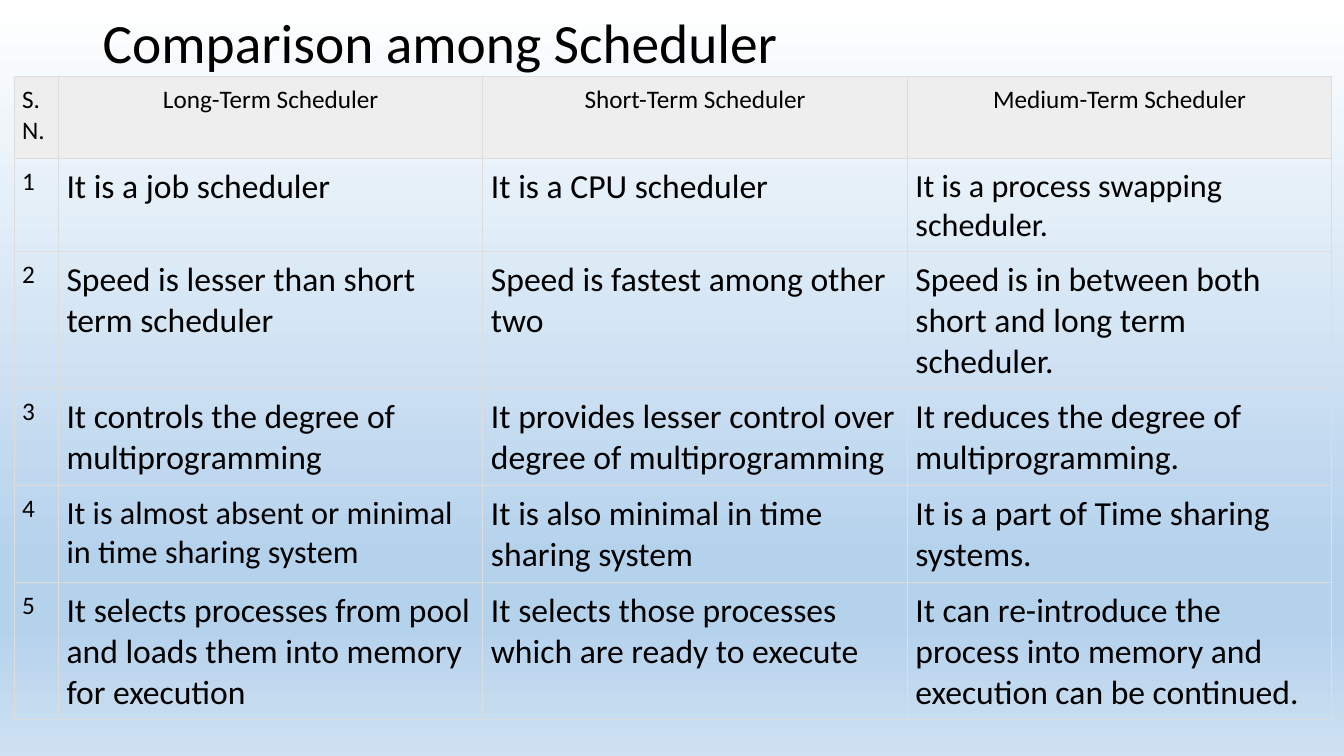
from dataclasses import dataclass

from lxml import etree
from pptx import Presentation
from pptx.dml.color import RGBColor
from pptx.enum.text import MSO_ANCHOR, PP_ALIGN
from pptx.oxml.ns import qn
from pptx.util import Inches, Pt

CENTER, LEFT = PP_ALIGN.CENTER, PP_ALIGN.LEFT
MIDDLE, TOP = MSO_ANCHOR.MIDDLE, MSO_ANCHOR.TOP
FONT = "Calibri"
COLORS = {
    "text": "000000",
    "header": "EEEEEE",
    "border": "DDDDDD",
    "white": "FFFFFF",
    "blue": "B5D2EC",
    "pale": "CEE1F2",
}
GRADIENT_STOPS = [(0, "white"), (74, "blue"), (83, "blue"), (100, "pale")]
COLUMN_WIDTHS = [0.44, 4.21, 4.21, 4.21]
CELL_MARGIN = 0.08
BORDER_WIDTH = 0.75
SMALL, MEDIUM, LARGE = 18, 23, 24


@dataclass
class Entry:
    text: str
    size: float = LARGE
    align: PP_ALIGN = LEFT
    fill: str = ""


@dataclass
class Row:
    height: float
    entries: list[Entry]


def heading(text: str, align: PP_ALIGN = CENTER) -> Entry:
    return Entry(text, SMALL, align, "header")


ROWS = [
    Row(0.81, [
        heading("S.N.", LEFT),
        heading("Long-Term Scheduler"),
        heading("Short-Term Scheduler"),
        heading("Medium-Term Scheduler"),
    ]),
    Row(0.92, [
        Entry("1", SMALL),
        Entry("It is a job scheduler"),
        Entry("It is a CPU scheduler"),
        Entry("It is a process swapping scheduler.", MEDIUM),
    ]),
    Row(1.29, [
        Entry("2", SMALL),
        Entry("Speed is lesser than short term scheduler"),
        Entry("Speed is fastest among other two"),
        Entry("Speed is in between both short and long term scheduler."),
    ]),
    Row(0.92, [
        Entry("3", SMALL),
        Entry("It controls the degree of multiprogramming"),
        Entry("It provides lesser control over degree of multiprogramming"),
        Entry("It reduces the degree of multiprogramming."),
    ]),
    Row(0.92, [
        Entry("4", SMALL),
        Entry("It is almost absent or minimal in time sharing system", MEDIUM),
        Entry("It is also minimal in time sharing system"),
        Entry("It is a part of Time sharing systems."),
    ]),
    Row(1.29, [
        Entry("5", SMALL),
        Entry("It selects processes from pool and loads them into memory for execution"),
        Entry("It selects those processes which are ready to execute"),
        Entry("It can re-introduce the process into memory and execution can be continued."),
    ]),
]


def add_color(parent, name: str) -> None:
    etree.SubElement(parent, qn("a:srgbClr"), val=COLORS[name])


def paint_background(page) -> None:
    page.background.fill.solid()
    solid = page.element.find(".//" + qn("a:solidFill"))
    gradient = etree.Element(qn("a:gradFill"), rotWithShape="1")
    stops = etree.SubElement(gradient, qn("a:gsLst"))
    for percent, color in GRADIENT_STOPS:
        stop = etree.SubElement(stops, qn("a:gs"), pos=str(percent * 1000))
        add_color(stop, color)
    etree.SubElement(gradient, qn("a:lin"), ang=str(90 * 60000), scaled="1")
    solid.getparent().replace(solid, gradient)


def write_text(para, text: str, size: float, align: PP_ALIGN) -> None:
    para.alignment = align
    span = para.add_run()
    span.text = text
    span.font.name = FONT
    span.font.size = Pt(size)
    span.font.color.rgb = RGBColor.from_string(COLORS["text"])


def add_title(page) -> None:
    box = page.shapes.add_textbox(Inches(0.92), Inches(0.14), Inches(11.5), Inches(0.62))
    frame = box.text_frame
    frame.word_wrap = True
    frame.vertical_anchor = MIDDLE
    para = frame.paragraphs[0]
    para.line_spacing = 0.9
    write_text(para, "Comparison among Scheduler", 39.6, LEFT)


def add_borders(cell) -> None:
    properties = cell._tc.get_or_add_tcPr()
    for position, side in enumerate(("lnL", "lnR", "lnT", "lnB")):
        line = etree.Element(qn(f"a:{side}"), w=str(Pt(BORDER_WIDTH)))
        add_color(etree.SubElement(line, qn("a:solidFill")), "border")
        properties.insert(position, line)


def fill_cell(cell, entry: Entry) -> None:
    margin = Inches(CELL_MARGIN)
    cell.margin_left = cell.margin_right = margin
    cell.margin_top = cell.margin_bottom = margin
    cell.vertical_anchor = TOP
    if entry.fill:
        cell.fill.solid()
        cell.fill.fore_color.rgb = RGBColor.from_string(COLORS[entry.fill])
    else:
        cell.fill.background()
    add_borders(cell)
    write_text(cell.text_frame.paragraphs[0], entry.text, entry.size, entry.align)


def add_comparison(page) -> None:
    width = Inches(sum(COLUMN_WIDTHS))
    height = Inches(sum(row.height for row in ROWS))
    table = page.shapes.add_table(
        len(ROWS), len(COLUMN_WIDTHS), Inches(0.14), Inches(0.76), width, height
    ).table
    table.first_row = False
    table.horz_banding = False
    for column, column_width in zip(table.columns, COLUMN_WIDTHS):
        column.width = Inches(column_width)
    for table_row, row in zip(table.rows, ROWS):
        table_row.height = Inches(row.height)
        for cell, entry in zip(table_row.cells, row.entries):
            fill_cell(cell, entry)


def main() -> None:
    deck = Presentation()
    deck.slide_width = Inches(13.33)
    deck.slide_height = Inches(7.5)
    page = deck.slides.add_slide(deck.slide_layouts[6])
    paint_background(page)
    add_title(page)
    add_comparison(page)
    deck.save("out.pptx")


if __name__ == "__main__":
    main()
